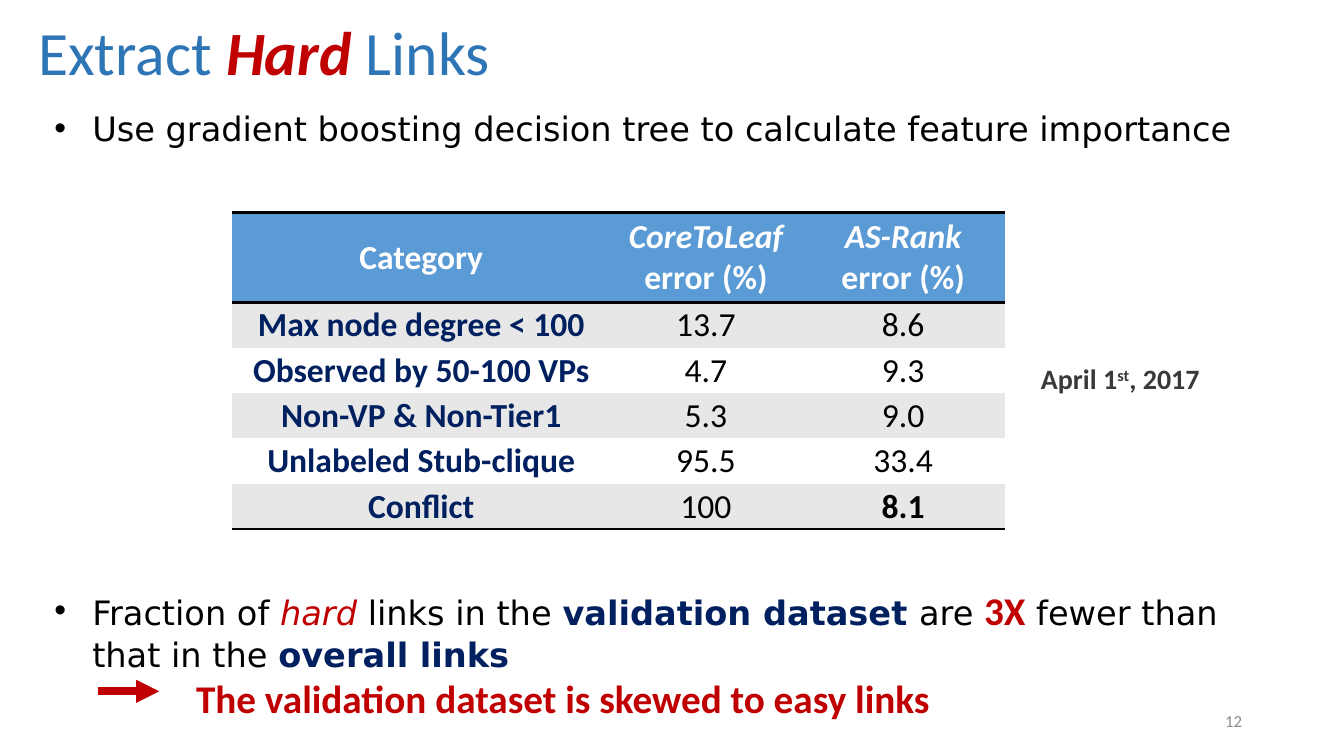
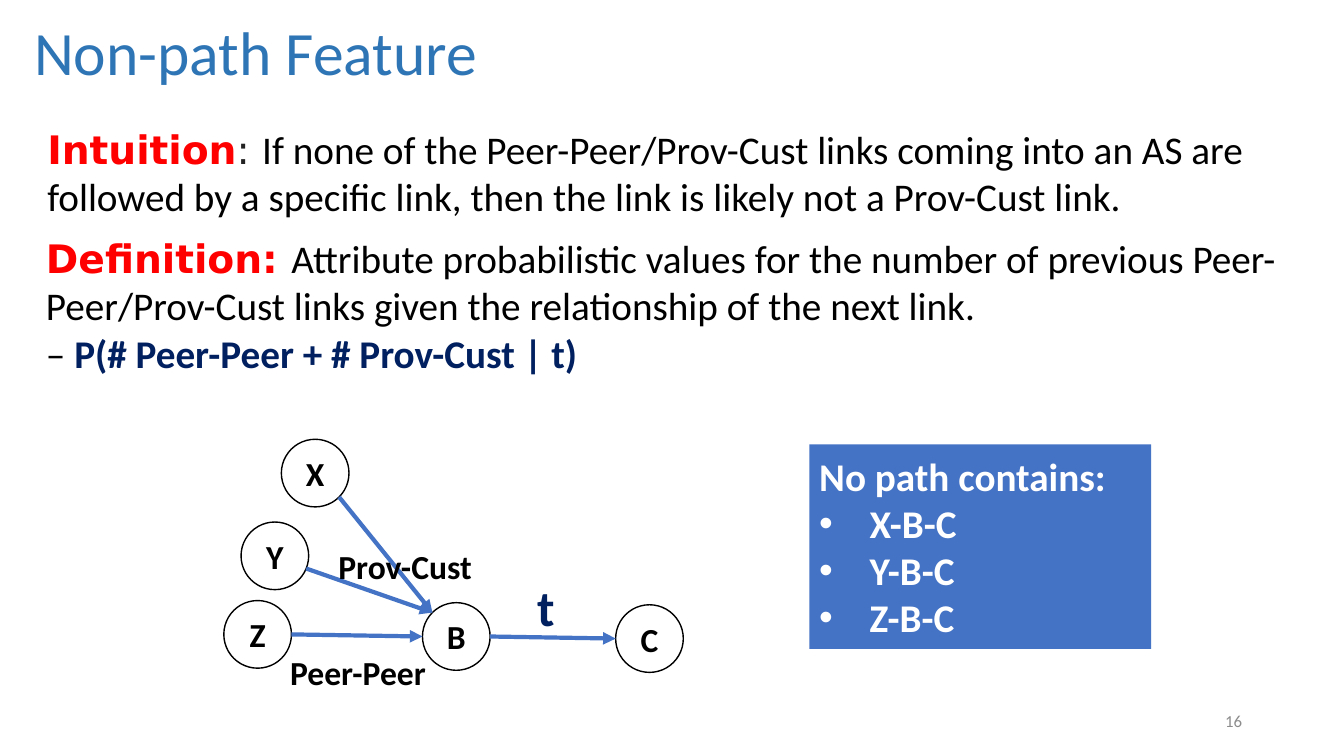
import math
from dataclasses import dataclass

from lxml import etree
from pptx import Presentation
from pptx.dml.color import RGBColor
from pptx.enum.shapes import MSO_CONNECTOR, MSO_SHAPE
from pptx.enum.text import MSO_ANCHOR, PP_ALIGN
from pptx.oxml.ns import qn
from pptx.util import Emu, Pt

OVAL, RECTANGLE = MSO_SHAPE.OVAL, MSO_SHAPE.RECTANGLE
STRAIGHT = MSO_CONNECTOR.STRAIGHT
TOP, MIDDLE, BOTTOM = MSO_ANCHOR.TOP, MSO_ANCHOR.MIDDLE, MSO_ANCHOR.BOTTOM
LEFT, CENTER, RIGHT = PP_ALIGN.LEFT, PP_ALIGN.CENTER, PP_ALIGN.RIGHT

# The slide is a grid of 32 columns by 18 rows of square cells
COLUMNS, ROWS = 32, 18
CELL = 381000
PLAIN_TABLE = "{2D5ABB26-0587-4C30-8999-92F81FD0307C}"

COLORS = {
    "title": "2E75B6", "text": "000000", "white": "FFFFFF", "navy": "002060",
    "crimson": "C00000", "red": "FF0000", "ink": "222222", "date": "3B3838",
    "number": "8C8C8C", "header": "5B9BD5", "band": "E7E7E7", "blue": "4472C4",
}
BODY, WIDE = "Calibri", "DejaVu Sans"


@dataclass
class Para:
    """A paragraph of (text, format) runs; indents are in grid columns."""
    runs: list
    indent: float = 0
    bullet: bool = False


def grid(cells):
    return Emu(round(cells * CELL))


def rgb(name):
    return RGBColor.from_string(COLORS[name])


def write(paragraph, text, size=24, font=BODY, color="text", bold=False,
          italic=False, raised=False):
    """Add one formatted run to a paragraph."""
    run = paragraph.add_run()
    run.text = text
    run.font.size = Pt(size)
    run.font.name = font
    run.font.color.rgb = rgb(color)
    run.font.bold = bold
    run.font.italic = italic
    if raised:
        run.font._element.set("baseline", "30000")


class Deck:
    """Holds the shared style and the slide being filled."""

    def __init__(self):
        self.file = Presentation()
        self.file.slide_width = grid(COLUMNS)
        self.file.slide_height = grid(ROWS)
        self.slide = None

    def new_slide(self, title, number, title_left):
        self.slide = self.file.slides.add_slide(self.file.slide_layouts[6])
        heading = [(text, {"size": 44, "color": "title", **look})
                   for text, look in title]
        self.text(title_left, 0, 31.2, 2.23, [Para(heading)],
                  anchor=BOTTOM, spacing=0.9)
        page = [(str(number), {"size": 12, "color": "number"})]
        self.text(22.61, 16.68, 7.2, 0.96, [Para(page)],
                  anchor=MIDDLE, align=RIGHT)

    def fill_frame(self, frame, paras, align=LEFT, spacing=None):
        for i, para in enumerate(paras):
            line = frame.paragraphs[0] if i == 0 else frame.add_paragraph()
            line.alignment = align
            if spacing:
                line.line_spacing = spacing
            if para.indent:
                props = line._p.get_or_add_pPr()
                props.set("marL", str(grid(para.indent)))
                if para.bullet:
                    props.set("indent", str(-grid(para.indent)))
                    etree.SubElement(props, qn("a:buFont"), typeface="Arial")
                    etree.SubElement(props, qn("a:buChar"), char="•")
            for text, look in para.runs:
                write(line, text, **look)

    def text(self, left, top, width, height, paras, anchor=TOP, wrap=True,
             **layout):
        box = self.slide.shapes.add_textbox(
            grid(left), grid(top), grid(width), grid(height))
        frame = box.text_frame
        frame.word_wrap = wrap
        frame.vertical_anchor = anchor
        self.fill_frame(frame, paras, **layout)

    def shape(self, kind, left, top, width, height, paras, fill,
              outline=None, inset=None, align=LEFT):
        shape = self.slide.shapes.add_shape(
            kind, grid(left), grid(top), grid(width), grid(height))
        shape.shadow.inherit = False
        shape.fill.solid()
        shape.fill.fore_color.rgb = rgb(fill)
        if outline:
            shape.line.color.rgb = rgb(outline)
            shape.line.width = Pt(1)
        else:
            shape.line.fill.background()
        frame = shape.text_frame
        frame.word_wrap = True
        frame.vertical_anchor = MIDDLE
        if inset is not None:
            frame.margin_left = frame.margin_right = grid(inset)
            frame.margin_top = frame.margin_bottom = grid(inset)
        self.fill_frame(frame, paras, align)

    def arrow(self, start, end, color, width):
        ends = [grid(value) for value in (*start, *end)]
        arrow = self.slide.shapes.add_connector(STRAIGHT, *ends)
        arrow.line.color.rgb = rgb(color)
        arrow.line.width = Pt(width)
        etree.SubElement(arrow.line._get_or_add_ln(), qn("a:tailEnd"),
                         type="triangle")
        etree.SubElement(arrow._element.spPr, qn("a:effectLst"))

    def table(self, left, top, widths, heights, rows):
        """Draw rows of cells, each cell a list of paragraphs."""
        frame = self.slide.shapes.add_table(
            len(rows), len(widths), grid(left), grid(top),
            grid(sum(widths)), grid(sum(heights)))
        table = frame.table
        table._tbl.tblPr.find(qn("a:tableStyleId")).text = PLAIN_TABLE
        for column, width in zip(table.columns, widths):
            column.width = grid(width)
        for r, (cells, height) in enumerate(zip(rows, heights)):
            table.rows[r].height = grid(height)
            fill = "header" if r == 0 else "band" if r % 2 else "white"
            sides = ["a:lnT"] if r == 0 else []
            if r in (0, len(rows) - 1):
                sides.append("a:lnB")
            for c, paras in enumerate(cells):
                self.cell(table.cell(r, c), paras, fill, sides)

    def cell(self, cell, paras, fill, sides):
        cell.margin_left = cell.margin_right = cell.margin_top = grid(0.02)
        cell.margin_bottom = 0
        cell.vertical_anchor = MIDDLE
        for side in sides:
            rule = etree.SubElement(cell._tc.get_or_add_tcPr(), qn(side),
                                    w=str(Pt(2)))
            paint = etree.SubElement(rule, qn("a:solidFill"))
            etree.SubElement(paint, qn("a:srgbClr"), val=COLORS["text"])
        cell.fill.solid()
        cell.fill.fore_color.rgb = rgb(fill)
        self.fill_frame(cell.text_frame, paras, CENTER)


def hard_links(deck):
    deck.new_slide([("Extract ", {}),
                    ("Hard ", {"color": "crimson", "bold": True,
                               "italic": True}),
                    ("Links", {})], 12, 0.67)
    wide = {"font": WIDE}
    strong = {"font": WIDE, "color": "navy", "bold": True}

    # Error table
    head = {"color": "white", "bold": True}
    header = [[Para([("Category", head)])]]
    for method in ("CoreToLeaf", "AS-Rank"):
        header.append([Para([(method, {**head, "italic": True})]),
                       Para([("error (%)", head)])])
    errors = [
        ("Max node degree < 100", "13.7", "8.6"),
        ("Observed by 50-100 VPs", "4.7", "9.3"),
        ("Non-VP & Non-Tier1", "5.3", "9.0"),
        ("Unlabeled Stub-clique", "95.5", "33.4"),
        ("Conflict", "100", "8.1"),
    ]
    rows = [header]
    for category, *values in errors:
        rows.append([[Para([(category, {"color": "navy", "bold": True})])]]
                    + [[Para([(value, {"bold": value == "8.1"})])]
                       for value in values])
    deck.table(5.52, 5.06, [9.02, 4.54, 4.85],
               [2.14] + [1.08] * len(errors), rows)
    date = {"size": 20, "color": "date", "bold": True}
    deck.text(24.55, 8.5, 7.4, 1.06, [Para([
        ("April 1", date), ("st", {**date, "raised": True}),
        (", 2017", date)])])

    # Statements above and below the table
    deck.text(1.06, 2.45, 29.5, 1.2, [Para([
        ("Use gradient boosting decision tree to calculate feature "
         "importance", wide)], 0.9, True)])
    punch = {"size": 28, "color": "crimson", "bold": True}
    deck.text(1.06, 13.85, 29.23, 3.48, [
        Para([("Fraction of ", wide),
              ("hard ", {"font": WIDE, "color": "crimson", "italic": True}),
              ("links in the ", wide), ("validation dataset ", strong),
              ("are ", wide), ("3X", punch),
              (" fewer than that in the ", wide),
              ("overall links", strong)], 0.9, True),
        Para([("The validation dataset is skewed to easy links", punch)],
             3.37)])
    deck.arrow((2.33, 16.46), (3.79, 16.46), "crimson", 5.5)


def non_path_feature(deck):
    deck.new_slide([("Non-path Feature", {})], 16, 0.58)
    body = {"size": 28}
    lead = {"size": 28, "font": WIDE, "color": "red", "bold": True}
    bold = {"bold": True}

    # Intuition and definition
    deck.text(0.89, 2.86, 30.53, 2.5, [Para([
        ("Intuition", lead),
        (": ", {"size": 28, "font": WIDE, "color": "ink"}),
        ("If none of the Peer-Peer/Prov-Cust links coming into an AS are "
         "followed by a specific link, then the link is likely not a "
         "Prov-Cust link.", body)])])
    deck.text(0.86, 5.47, 30.07, 3.62, [
        Para([("Definition: ", lead),
              ("Attribute probabilistic values for the number of previous "
               "Peer-Peer/Prov-Cust links given the relationship of the "
               "next link.", body)]),
        Para([("– ", body),
              ("P(# Peer-Peer + # Prov-Cust | t)",
               {"size": 28, "color": "navy", "bold": True})])])

    # Network of nodes
    diameter = 1.61
    nodes = {"X": (6.7, 10.46), "Y": (5.74, 12.43), "Z": (5.33, 14.3),
             "B": (10.06, 14.35), "C": (14.66, 14.4)}
    for name, (left, top) in nodes.items():
        deck.shape(OVAL, left, top, diameter, diameter,
                   [Para([(name, bold)])], "white", "text", 0, CENTER)

    def rim(name, degrees):
        """Point on a node's edge, clockwise from its right side."""
        angle, radius = math.radians(degrees), diameter / 2
        left, top = nodes[name]
        return (left + radius * (1 + math.cos(angle)),
                top + radius * (1 + math.sin(angle)))

    for source, leave, target, arrive in [
            ("X", 45, "B", 225), ("Y", 22, "B", 225),
            ("Z", 0, "B", 180), ("B", 0, "C", 180)]:
        deck.arrow(rim(source, leave), rim(target, arrive), "blue", 3)

    # Link labels
    for label, left, top in [("Prov-Cust", 7.82, 12.89),
                             ("Peer-Peer", 6.67, 15.41)]:
        deck.text(left, top, 4.75, 1.2, [Para([(label, bold)])])
    deck.text(12.55, 13.61, 0.91, 1.7, [Para([
        ("t", {"size": 36, "color": "navy", "bold": True})])], wrap=False)

    # Excluded paths
    note = {"size": 28, "color": "white", "bold": True}
    excluded = [Para([(f"{start}-B-C", note)], 1.2, True) for start in "XYZ"]
    deck.shape(RECTANGLE, 19.27, 10.58, 8.14, 4.87,
               [Para([("No path contains:", note)])] + excluded, "blue")


def main():
    deck = Deck()
    hard_links(deck)
    non_path_feature(deck)
    deck.file.save("out.pptx")


if __name__ == "__main__":
    main()
